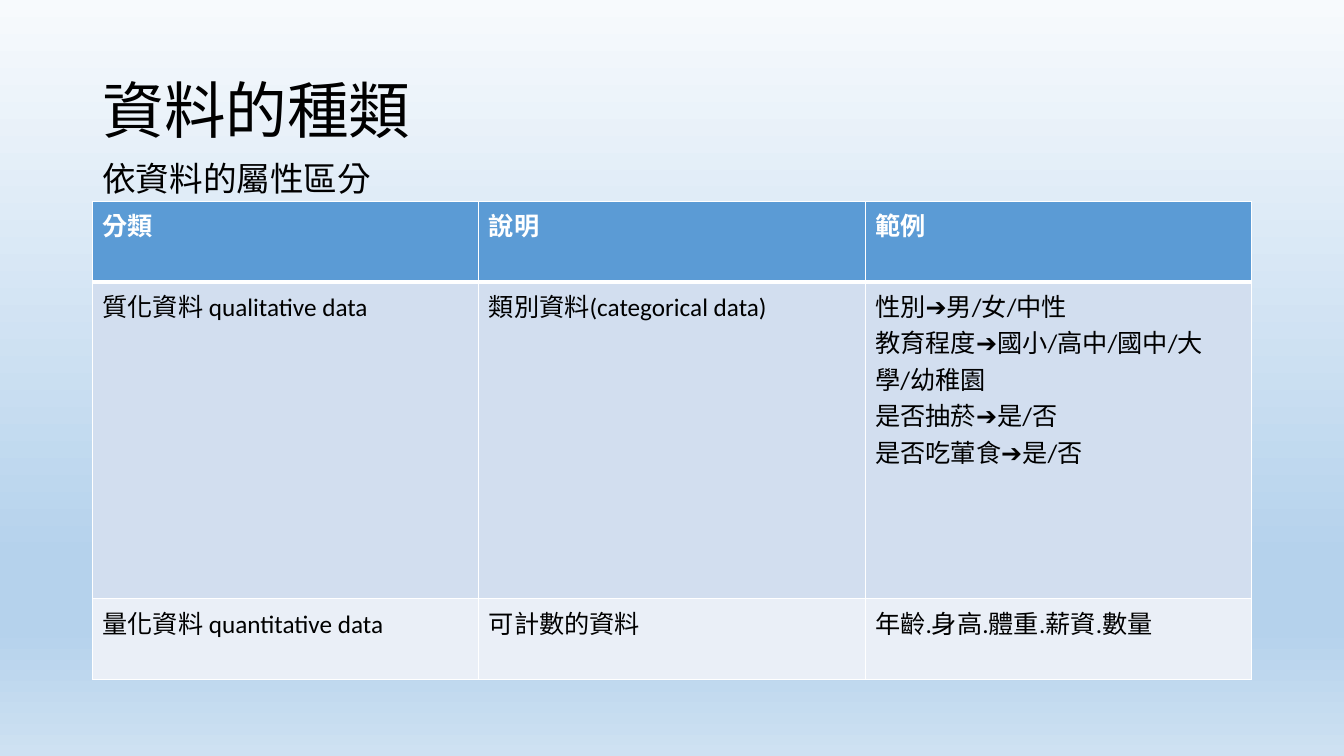
from lxml import etree
from pptx import Presentation
from pptx.dml.color import RGBColor
from pptx.enum.lang import MSO_LANGUAGE_ID
from pptx.enum.text import MSO_ANCHOR, MSO_AUTO_SIZE, PP_ALIGN
from pptx.oxml.ns import qn
from pptx.util import Pt

LEFT = PP_ALIGN.LEFT
MIDDLE = MSO_ANCHOR.MIDDLE
GROW = MSO_AUTO_SIZE.SHAPE_TO_FIT_TEXT
CHINESE = MSO_LANGUAGE_ID.TRADITIONAL_CHINESE

FONT = "Calibri"
BLACK, WHITE = "000000", "FFFFFF"
TITLE_ONLY = 5
MARGIN, CONTENT_WIDTH = 66, 828

BACKGROUND_STOPS = [(0, "F7FAFD"), (74, "B5D2EC"), (83, "B5D2EC"), (100, "CEE1F2")]
ROW_FILLS = ["5B9BD5", "D2DEEF", "EAEFF7"]
ROW_HEIGHTS = [57.6, 226.1, 57.6]
DATA_KINDS = [
    ["分類", "說明", "範例"],
    [
        "質化資料 qualitative data",
        "類別資料(categorical data)",
        "性別➔男/女/中性\n教育程度➔國小/高中/國中/大學/幼稚園\n是否抽菸➔是/否\n是否吃葷食➔是/否",
    ],
    ["量化資料 quantitative data", "可計數的資料", "年齡.身高.體重.薪資.數量"],
]


def rgb(value):
    return RGBColor.from_string(value)


def set_background(slide, stops):
    fill = slide.background.fill
    fill.gradient()
    fill.gradient_angle = 270  # from top to bottom
    stop_list = next(slide.element.iter(qn("a:gsLst")))
    for stop in list(stop_list):
        stop_list.remove(stop)
    for percent, color in stops:
        stop = etree.SubElement(stop_list, qn("a:gs"), pos=str(percent * 1000))
        etree.SubElement(stop, qn("a:srgbClr"), val=color)


def write_text(text_frame, text, size, color=BLACK, bold=False):
    text_frame.text = text
    for paragraph in text_frame.paragraphs:
        paragraph.alignment = LEFT
        font = paragraph.font
        font.name = FONT
        font.size = Pt(size)
        font.bold = bold
        font.color.rgb = rgb(color)
        font.language_id = CHINESE


def add_title(slide, text):
    title = slide.shapes.title
    title.left, title.top = Pt(MARGIN), Pt(28.8)
    title.width, title.height = Pt(CONTENT_WIDTH), Pt(104.4)
    title.text_frame.vertical_anchor = MIDDLE
    write_text(title.text_frame, text, 44)
    title.text_frame.paragraphs[0].line_spacing = 0.9


def add_subtitle(slide, text):
    text_frame = slide.shapes.add_textbox(Pt(MARGIN), Pt(109.4), Pt(223), Pt(36)).text_frame
    text_frame.word_wrap = True
    text_frame.auto_size = GROW
    write_text(text_frame, text, 24)


def set_borders(cell, top, bottom):
    properties = cell._tc.get_or_add_tcPr()
    widths = {"a:lnL": 1, "a:lnR": 1, "a:lnT": top, "a:lnB": bottom}
    for position, (tag, width) in enumerate(widths.items()):
        line = etree.Element(qn(tag), w=str(Pt(width)))
        fill = etree.SubElement(line, qn("a:solidFill"))
        etree.SubElement(fill, qn("a:srgbClr"), val=WHITE)
        properties.insert(position, line)


def add_data_table(slide, rows):
    table = slide.shapes.add_table(
        len(rows), len(rows[0]), Pt(MARGIN), Pt(144), Pt(CONTENT_WIDTH), Pt(sum(ROW_HEIGHTS))
    ).table
    for row_index, texts in enumerate(rows):
        table.rows[row_index].height = Pt(ROW_HEIGHTS[row_index])
        header = row_index == 0
        for column_index, text in enumerate(texts):
            cell = table.cell(row_index, column_index)
            cell.fill.solid()
            cell.fill.fore_color.rgb = rgb(ROW_FILLS[row_index])
            # A thick rule separates the header from the first data row
            set_borders(cell, top=3 if row_index == 1 else 1, bottom=3 if header else 1)
            write_text(cell.text_frame, text, 18, WHITE if header else BLACK, bold=header)


def main():
    presentation = Presentation()
    presentation.slide_width, presentation.slide_height = Pt(960), Pt(540)
    slide = presentation.slides.add_slide(presentation.slide_layouts[TITLE_ONLY])
    set_background(slide, BACKGROUND_STOPS)
    add_title(slide, "資料的種類")
    add_data_table(slide, DATA_KINDS)
    add_subtitle(slide, "依資料的屬性區分")
    presentation.save("out.pptx")


if __name__ == "__main__":
    main()
